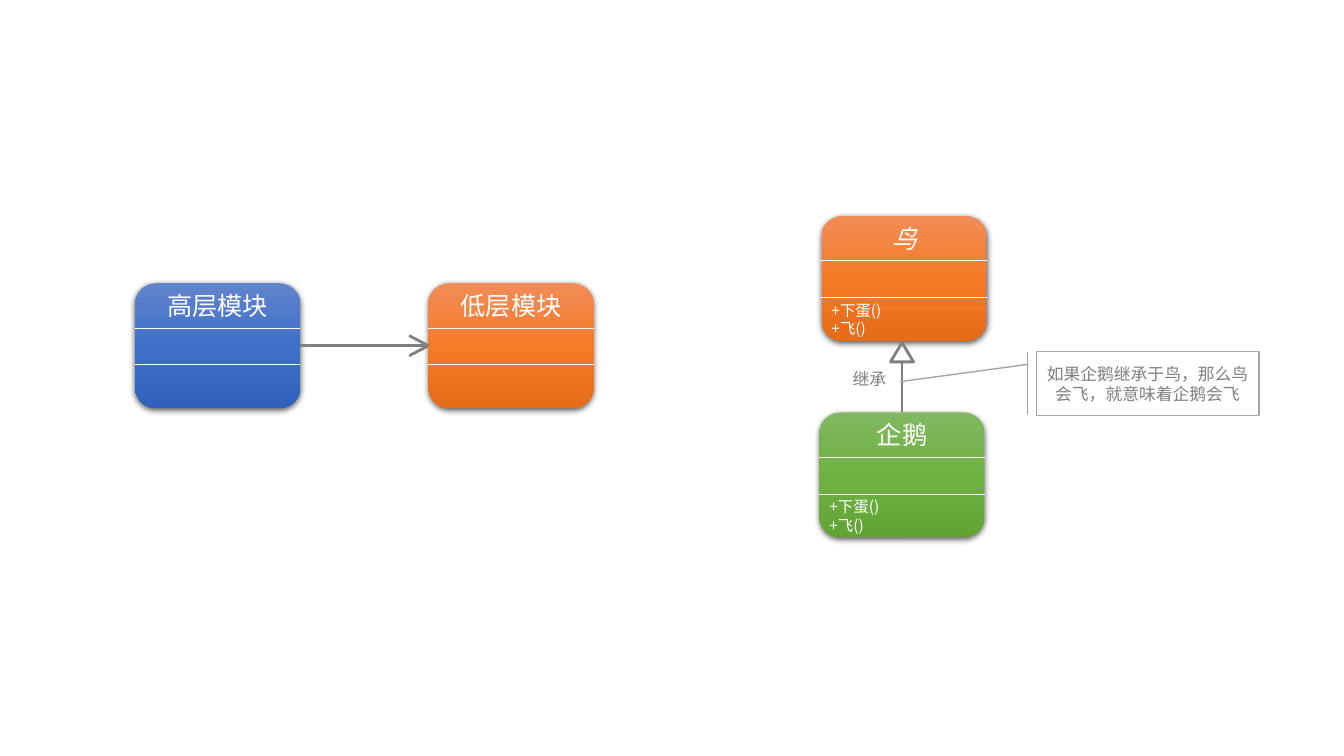
import copy
import dataclasses

import lxml.etree
import pptx
import pptx.dml.color
import pptx.enum.shapes
import pptx.enum.text
import pptx.oxml
import pptx.oxml.ns
import pptx.util

Pt = pptx.util.Pt
RGBColor = pptx.dml.color.RGBColor
Shapes = pptx.enum.shapes.MSO_SHAPE
Align = pptx.enum.text.PP_ALIGN
qn = pptx.oxml.ns.qn

FONT = "Noto Sans CJK SC"
WHITE = RGBColor(0xFF, 0xFF, 0xFF)
GREY = RGBColor(0x80, 0x80, 0x80)
BORDER_GREY = RGBColor(0xA5, 0xA5, 0xA5)
BLUE = (RGBColor(0x61, 0x83, 0xCB), RGBColor(0x3E, 0x70, 0xCA), RGBColor(0x30, 0x62, 0xBB))
ORANGE = (RGBColor(0xF1, 0x8C, 0x57), RGBColor(0xF6, 0x7B, 0x28), RGBColor(0xE5, 0x6C, 0x19))
GREEN = (RGBColor(0x81, 0xB8, 0x61), RGBColor(0x6F, 0xB2, 0x42), RGBColor(0x62, 0xA3, 0x36))

BOX_WIDTH, BOX_HEIGHT = 118, 89.3
DIVIDERS = (32, 58.3)
SHADOW = (
    '<a:outerShdw xmlns:a="http://schemas.openxmlformats.org/drawingml/2006/main"'
    ' blurRad="57150" dist="19050" dir="5400000" algn="ctr" rotWithShape="0">'
    '<a:srgbClr val="000000"><a:alpha val="63000"/></a:srgbClr></a:outerShdw>'
)


@dataclasses.dataclass(frozen=True)
class ClassBox:
    name: str
    left: float
    top: float
    shades: tuple[RGBColor, ...]
    members: tuple[str, ...] = ()
    name_inset: float = 0
    italic: bool = False


HIGH_MODULE = ClassBox("高层模块", 96.5, 202.3, BLUE)
LOW_MODULE = ClassBox("低层模块", 306, 202.3, ORANGE)
BIRD = ClassBox("鸟", 586.8, 154.2, ORANGE, ("+下蛋()", "+飞()"), 26.5, True)
PENGUIN = ClassBox("企鹅", 585.3, 294.6, GREEN, ("+下蛋()", "+飞()"), 26.5)


def write(shape, *lines: str, size: float, color: RGBColor,
          align=Align.LEFT, italic: bool = False, wrap: bool = True) -> None:
    """Fill a shape with one paragraph per line."""
    frame = shape.text_frame
    frame.word_wrap = wrap
    for index, line in enumerate(lines):
        para = frame.add_paragraph() if index else frame.paragraphs[0]
        para.alignment = align
        span = para.add_run()
        span.text = line
        span.font.size = Pt(size)
        span.font.name = FONT
        span.font.italic = italic
        span.font.color.rgb = color
        lxml.etree.SubElement(span.font._element, qn("a:ea"), typeface=FONT)


def add_label(page, left: float, top: float, width: float, height: float,
              *lines: str, **text_format):
    label = page.shapes.add_textbox(Pt(left), Pt(top), Pt(width), Pt(height))
    write(label, *lines, **text_format)
    label.text_frame.auto_size = pptx.enum.text.MSO_AUTO_SIZE.SHAPE_TO_FIT_TEXT
    return label


def add_line(page, start: tuple[float, float], end: tuple[float, float],
             color: RGBColor, width: float):
    line = page.shapes.add_connector(
        pptx.enum.shapes.MSO_CONNECTOR.STRAIGHT,
        Pt(start[0]), Pt(start[1]), Pt(end[0]), Pt(end[1]))
    line.line.color.rgb = color
    line.line.width = Pt(width)
    lxml.etree.SubElement(line._element.spPr, qn("a:effectLst"))
    return line


def add_class_box(page, item: ClassBox):
    """Draw a shaded class box with its dividers, name and members."""
    left, top = item.left, item.top
    box = page.shapes.add_shape(Shapes.ROUNDED_RECTANGLE, Pt(left), Pt(top),
                                Pt(BOX_WIDTH), Pt(BOX_HEIGHT))
    box.line.fill.background()
    box.fill.gradient()
    box.fill.gradient_angle = 270
    stops = box._element.spPr.find(".//" + qn("a:gsLst"))
    stops.insert(1, copy.deepcopy(stops[0]))
    for index, (stop, shade) in enumerate(zip(box.fill.gradient_stops, item.shades)):
        stop.position = index / 2
        stop.color.rgb = shade
    box.shadow.inherit = False
    box._element.spPr.find(qn("a:effectLst")).append(pptx.oxml.parse_xml(SHADOW))

    for offset in DIVIDERS:
        add_line(page, (left, top + offset), (left + BOX_WIDTH, top + offset), WHITE, 0.5)
    inset = item.name_inset
    add_label(page, left + inset, top + 1.5, BOX_WIDTH - 2 * inset, 29, item.name,
              size=18, color=WHITE, align=Align.CENTER, italic=item.italic)
    if item.members:
        add_label(page, left, top + 57, BOX_WIDTH, 34, *item.members,
                  size=11, color=WHITE)
    return box


def add_dependency(page, user_box, used_box) -> None:
    """Draw an open-headed arrow between two boxes."""
    tip_x, tip_y = LOW_MODULE.left, LOW_MODULE.top + BOX_HEIGHT / 2
    shaft = add_line(page, (HIGH_MODULE.left + BOX_WIDTH, tip_y), (tip_x, tip_y), GREY, 2)
    shaft.begin_connect(user_box, 3)
    shaft.end_connect(used_box, 1)
    for rise in (-7.2, 7.2):
        add_line(page, (tip_x - 13.7, tip_y + rise), (tip_x, tip_y), GREY, 2)


def add_inheritance(page, child_box) -> None:
    """Draw a hollow triangle, its stem and its label."""
    middle = PENGUIN.left + BOX_WIDTH / 2
    stem = add_line(page, (middle, PENGUIN.top), (middle, 258.5), GREY, 2)
    stem.begin_connect(child_box, 0)
    head = page.shapes.add_shape(Shapes.ISOSCELES_TRIANGLE, Pt(middle - 8.2), Pt(244.8),
                                 Pt(16.5), Pt(13.7))
    head.shadow.inherit = False
    head.fill.background()
    head.line.color.rgb = GREY
    head.line.width = Pt(2)
    add_label(page, 602, 260, 39, 21.6, "继承", size=12, color=GREY, wrap=False)


def add_callout(page) -> None:
    note = page.shapes.add_shape(Shapes.LINE_CALLOUT_1_BORDER_AND_ACCENT_BAR,
                                 Pt(740.2), Pt(251.2), Pt(159), Pt(45.5))
    for index, value in enumerate((0.2, -0.04, 0.47, -0.61)):
        note.adjustments[index] = value
    note.shadow.inherit = False
    note.fill.solid()
    note.fill.fore_color.rgb = WHITE
    note.line.color.rgb = BORDER_GREY
    note.line.width = Pt(1)
    write(note, "如果企鹅继承于鸟，那么鸟会飞，就意味着企鹅会飞",
          size=12, color=GREY, align=Align.CENTER)
    note.text_frame.vertical_anchor = pptx.enum.text.MSO_ANCHOR.MIDDLE


def main() -> None:
    deck = pptx.Presentation()
    deck.slide_width, deck.slide_height = Pt(960), Pt(540)
    page = deck.slides.add_slide(deck.slide_layouts[6])

    # Module dependency
    high_box = add_class_box(page, HIGH_MODULE)
    low_box = add_class_box(page, LOW_MODULE)
    add_dependency(page, high_box, low_box)

    # Bird and penguin inheritance
    add_class_box(page, BIRD)
    penguin_box = add_class_box(page, PENGUIN)
    add_inheritance(page, penguin_box)
    add_callout(page)

    deck.save("out.pptx")


if __name__ == "__main__":
    main()
